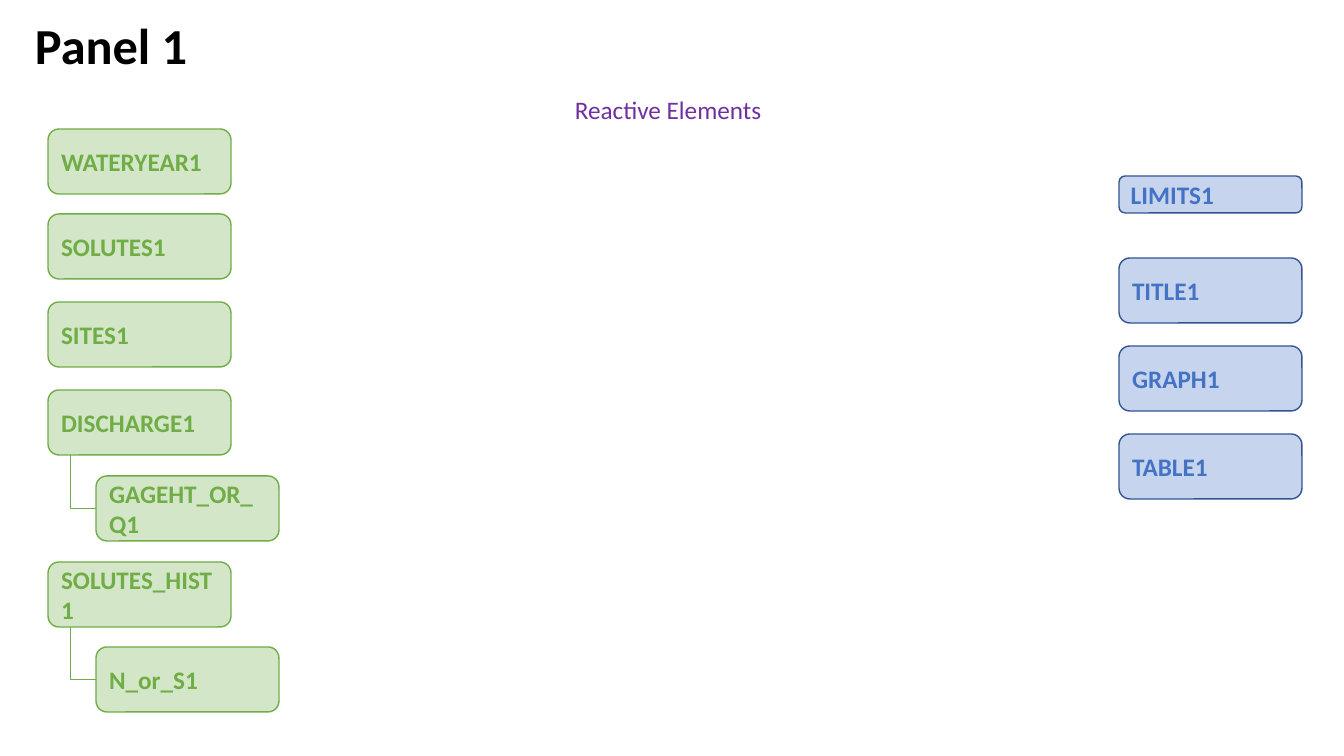
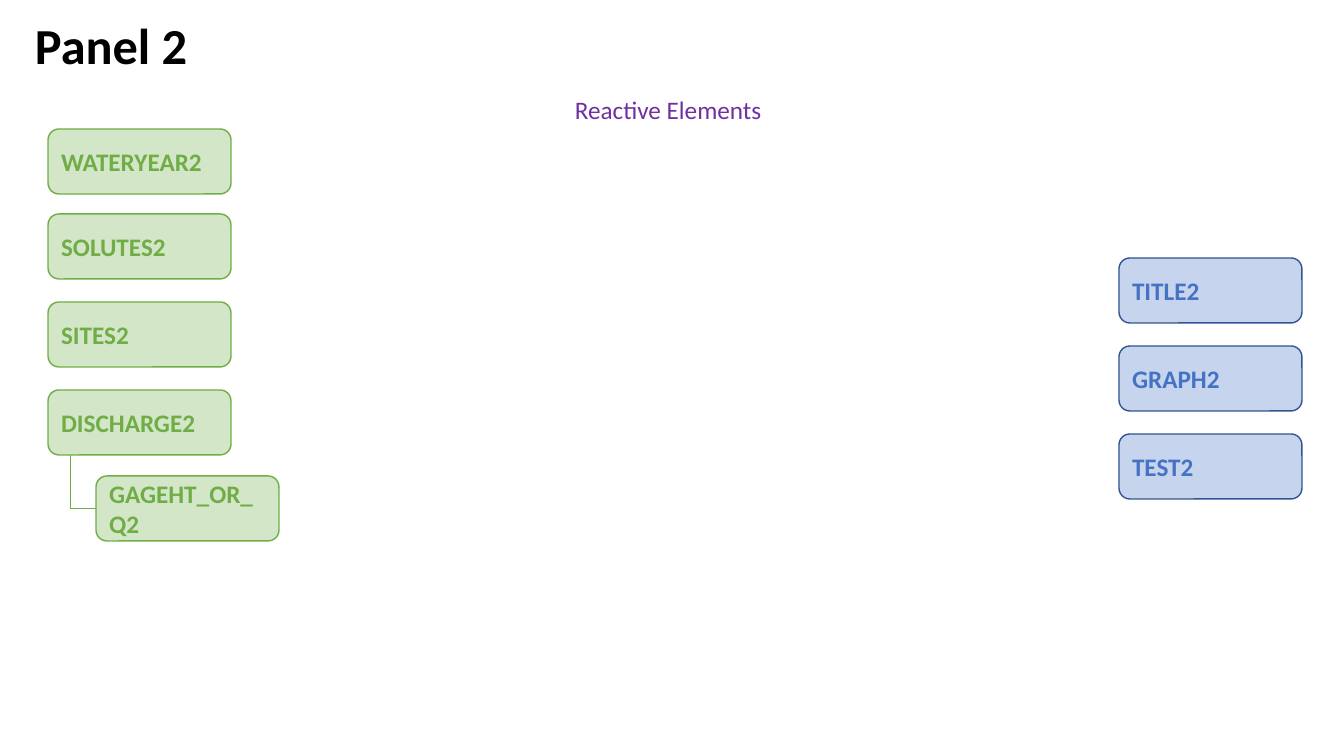
from pptx import Presentation
from pptx.dml.color import RGBColor
from pptx.enum.shapes import MSO_CONNECTOR, MSO_SHAPE
from pptx.enum.text import MSO_ANCHOR, MSO_AUTO_SIZE, PP_ALIGN
from pptx.oxml.ns import qn
from pptx.util import Pt
from lxml.etree import SubElement

SLIDE_WIDTH, SLIDE_HEIGHT = 1344, 756
SCALE = 12192000 / SLIDE_WIDTH
FONT = "Calibri"
BLACK = RGBColor(0x00, 0x00, 0x00)
PURPLE = RGBColor(0x70, 0x30, 0xA0)
GREEN = RGBColor(0x70, 0xAD, 0x47)
BLUE = RGBColor(0x44, 0x72, 0xC4)
DARK_BLUE = RGBColor(0x32, 0x54, 0x91)

BOX_WIDTH, BOX_HEIGHT = 183, 65
ROW_PITCH = 88
INPUT_LEFT, CHILD_LEFT, OUTPUT_LEFT = 48, 96, 1119
BRANCH_LEFT = 70
OUTPUT_TOP = 258


def emu(pixels):
    return round(pixels * SCALE)


class PanelDeck:
    def __init__(self):
        self.presentation = Presentation()
        self.presentation.slide_width = emu(SLIDE_WIDTH)
        self.presentation.slide_height = emu(SLIDE_HEIGHT)
        self.slide = None

    def add_panel(self, number):
        layout = self.presentation.slide_layouts[6]
        self.slide = self.presentation.slides.add_slide(layout)
        self.add_label(f"Panel {number}", 25, 9, 174, 71, 36, BLACK, True)
        self.add_label("Reactive Elements ", 565, 89, 215, 40, 18, PURPLE)

    def set_text(self, shape, text, size, color, bold):
        paragraph = shape.text_frame.paragraphs[0]
        paragraph.text = text
        paragraph.alignment = PP_ALIGN.LEFT
        font = paragraph.runs[0].font
        font.name = FONT
        font.size = Pt(size)
        font.bold = bold
        font.color.rgb = color

    def add_label(self, text, left, top, width, height, size, color, bold=False):
        shape = self.slide.shapes.add_textbox(emu(left), emu(top), emu(width), emu(height))
        shape.text_frame.word_wrap = False
        shape.text_frame.auto_size = MSO_AUTO_SIZE.SHAPE_TO_FIT_TEXT
        self.set_text(shape, text, size, color, bold)

    def add_box(self, text, left, top, color, border, height=BOX_HEIGHT):
        shape = self.slide.shapes.add_shape(
            MSO_SHAPE.ROUNDED_RECTANGLE, emu(left), emu(top), emu(BOX_WIDTH), emu(height))
        shape.shadow.inherit = False
        shape.fill.solid()
        shape.fill.fore_color.rgb = color
        fill_color = next(shape.element.spPr.iter(qn("a:srgbClr")))
        SubElement(fill_color, qn("a:alpha")).set("val", "30000")
        shape.line.color.rgb = border
        shape.line.width = Pt(1)
        shape.text_frame.word_wrap = True
        shape.text_frame.vertical_anchor = MSO_ANCHOR.MIDDLE
        self.set_text(shape, text, 18, color, True)

    def add_input(self, text, top, left=INPUT_LEFT):
        self.add_box(text, left, top, GREEN, GREEN)

    def add_output(self, text, top, height=BOX_HEIGHT):
        self.add_box(text, OUTPUT_LEFT, top, BLUE, DARK_BLUE, height)

    def add_input_with_child(self, parent, parent_top, child, child_top):
        self.add_input(parent, parent_top)
        self.add_input(child, child_top, CHILD_LEFT)
        self.add_branch(parent_top + BOX_HEIGHT, child_top + BOX_HEIGHT / 2)

    def add_branch(self, top, bottom):
        drop, run = bottom - top, CHILD_LEFT - BRANCH_LEFT
        left = BRANCH_LEFT + (run - drop) / 2
        upper = top + (drop - run) / 2
        connector = self.slide.shapes.add_connector(
            MSO_CONNECTOR.ELBOW, emu(left), emu(upper), emu(left + drop), emu(upper + run))
        connector.line.color.rgb = GREEN
        connector.line.width = Pt(0.5)
        properties = connector.element.spPr
        frame = properties.find(qn("a:xfrm"))
        frame.set("rot", "16200000")
        frame.set("flipH", "1")
        properties.find(qn("a:prstGeom")).set("prst", "bentConnector2")
        SubElement(properties, qn("a:effectLst"))


deck = PanelDeck()
for number, last_output in ((1, "TABLE"), (2, "TEST")):
    deck.add_panel(number)
    for row, name in enumerate(("TITLE", "GRAPH", last_output)):
        deck.add_output(f"{name}{number}", OUTPUT_TOP + row * ROW_PITCH)
    for name, top in (("WATERYEAR", 129), ("SOLUTES", 214), ("SITES", 302)):
        deck.add_input(f"{name}{number}", top)
    deck.add_input_with_child(f"DISCHARGE{number}", 390, f"GAGEHT_OR_Q{number}", 476)
    if number == 1:
        deck.add_input_with_child("SOLUTES_HIST1", 562, "N_or_S1", 647)
        deck.add_output("LIMITS1", 176, 37)

deck.presentation.save("out.pptx")
